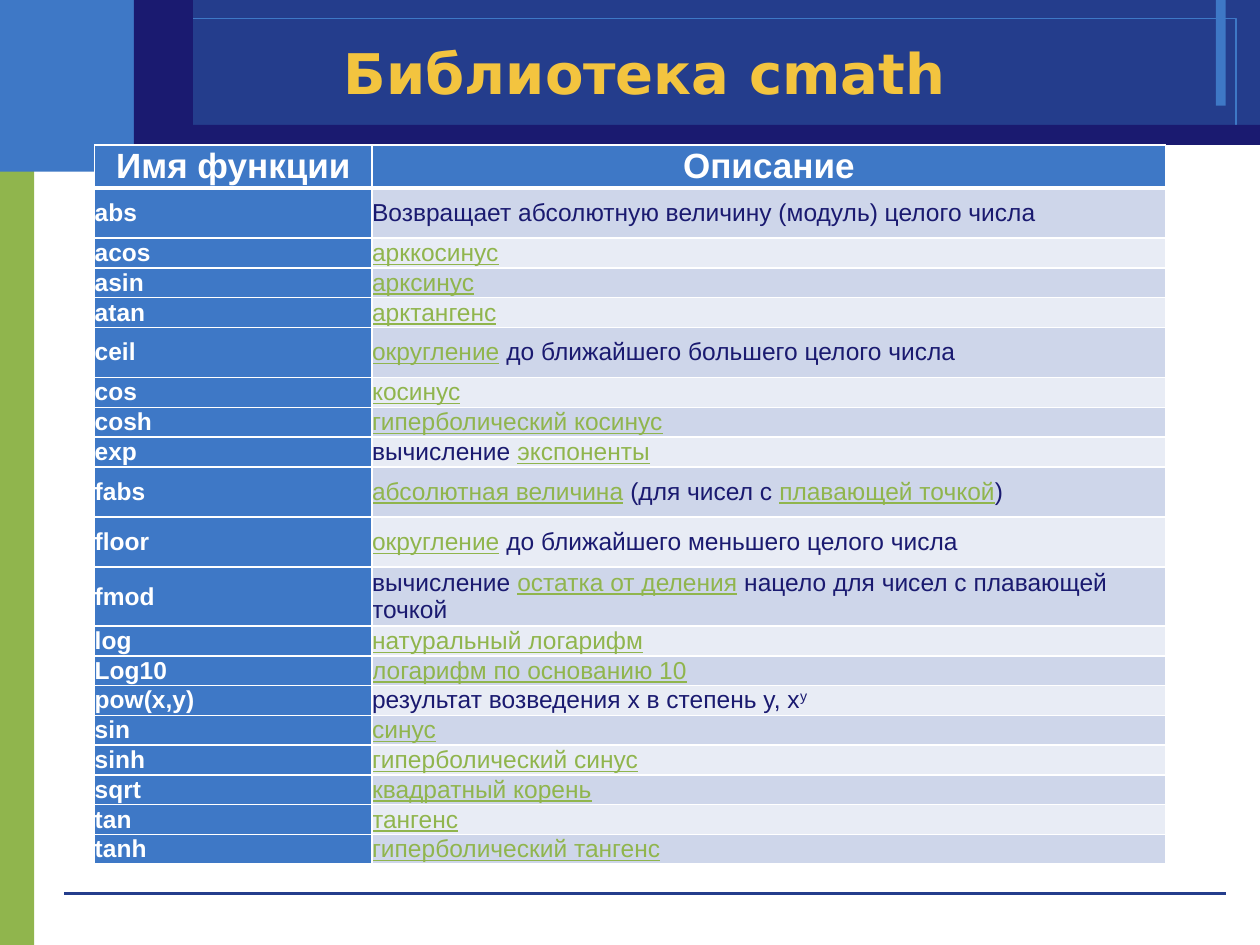
from dataclasses import dataclass

import lxml.etree
import pptx
import pptx.dml.color
import pptx.enum.shapes
import pptx.enum.text
import pptx.oxml.ns
import pptx.util
from pptx.util import Cm, Pt

COLORS = {
    "green": "90B54D",
    "blue": "3E78C6",
    "royal": "243D8C",
    "navy": "1A1A70",
    "gold": "F3C43F",
    "white": "FFFFFF",
    "band_dark": "CED6EA",
    "band_light": "E8ECF5",
}
BODY_FONT = "Arial"
TITLE_FONT = "DejaVu Sans"
HEADER_HEIGHT, LOW, TALL, TWO_LINES = 0.87, 0.6, 1.01, 1.19
COLUMN_WIDTHS = (5.59, 16.0)


@dataclass
class Block:
    left: float
    top: float
    width: float
    height: float
    fill: str = ""
    line: str = ""


@dataclass
class Function:
    """One table row; underscores in the description enclose underlined terms."""
    name: str
    description: str
    height: float = LOW
    exponent: str = ""


BLOCKS = [
    Block(0, 2.72, 0.69, 16.33, "green"),
    Block(0, 0, 3.89, 3.46, "blue"),
    Block(3.89, 0, 21.51, 2.92, "royal"),
    Block(24.51, 0, 0.2, 2.13, "blue"),
    Block(0.51, 0.38, 24.41, 2.16, line="blue"),
    Block(3.3, 2.52, 22.1, 0.4, "navy"),
    Block(2.7, 0, 1.19, 2.92, "navy"),
]

FUNCTIONS = [
    Function("abs", "Возвращает абсолютную величину (модуль) целого числа", TALL),
    Function("acos", "_арккосинус_"),
    Function("asin", "_арксинус_"),
    Function("atan", "_арктангенс_"),
    Function("ceil", "_округление_ до ближайшего большего целого числа", TALL),
    Function("cos", "_косинус_"),
    Function("cosh", "_гиперболический косинус_"),
    Function("exp", "вычисление _экспоненты_"),
    Function("fabs", "_абсолютная величина_ (для чисел с _плавающей точкой_)", TALL),
    Function("floor", "_округление_ до ближайшего меньшего целого числа", TALL),
    Function("fmod", "вычисление _остатка от деления_ нацело для чисел с плавающей точкой",
             TWO_LINES),
    Function("log", "_натуральный логарифм_"),
    Function("Log10", "_логарифм по основанию 10_"),
    Function("pow(x,y)", "результат возведения x в степень y, x", exponent="y"),
    Function("sin", "_синус_"),
    Function("sinh", "_гиперболический синус_"),
    Function("sqrt", "_квадратный корень_"),
    Function("tan", "_тангенс_"),
    Function("tanh", "_гиперболический тангенс_"),
]


def rgb(name: str) -> pptx.dml.color.RGBColor:
    return pptx.dml.color.RGBColor.from_string(COLORS[name])


def add_block(s, block: Block) -> None:
    sp = s.shapes.add_shape(
        pptx.enum.shapes.MSO_SHAPE.RECTANGLE,
        Cm(block.left), Cm(block.top), Cm(block.width), Cm(block.height))
    sp.shadow.inherit = False
    if block.fill:
        sp.fill.solid()
        sp.fill.fore_color.rgb = rgb(block.fill)
    else:
        sp.fill.background()
    if block.line:
        sp.line.color.rgb = rgb(block.line)
        sp.line.width = Pt(0)
    else:
        sp.line.fill.background()


def add_footer_line(s) -> None:
    line = s.shapes.add_connector(
        pptx.enum.shapes.MSO_CONNECTOR.STRAIGHT, Cm(1.3), Cm(18.01), Cm(24.71), Cm(18.01))
    line.line.color.rgb = rgb("royal")
    line.line.width = Pt(0)
    sp_pr = line.element.find(pptx.oxml.ns.qn("p:spPr"))
    lxml.etree.SubElement(sp_pr, pptx.oxml.ns.qn("a:effectLst"))


def set_title(s, text: str) -> None:
    title = s.shapes.title
    title.left, title.top, title.width, title.height = Cm(2.08), Cm(0.66), Cm(21.84), Cm(1.57)
    tf = title.text_frame
    tf.text = text
    tf.vertical_anchor = pptx.enum.text.MSO_ANCHOR.MIDDLE
    p = tf.paragraphs[0]
    p.alignment = pptx.enum.text.PP_ALIGN.CENTER
    format_run(p.runs[0], 32, "gold", True, TITLE_FONT)
    # Bring the title in front of the decoration.
    title.element.getparent().append(title.element)


def format_run(r, size: float, color: str, bold: bool = False, font: str = BODY_FONT) -> None:
    r.font.name = font
    r.font.size = Pt(size)
    r.font.bold = bold
    r.font.color.rgb = rgb(color)


def style_cell(cell, fill: str, bottom: float = 1) -> None:
    """Set white borders, fill, zero margins and middle anchoring."""
    qn = pptx.oxml.ns.qn
    tc_pr = cell._tc.get_or_add_tcPr()
    for side, width in (("L", 1), ("R", 1), ("T", 1), ("B", bottom)):
        ln = lxml.etree.SubElement(tc_pr, qn(f"a:ln{side}"), w=str(Pt(width)))
        solid = lxml.etree.SubElement(ln, qn("a:solidFill"))
        lxml.etree.SubElement(solid, qn("a:srgbClr"), val=COLORS["white"])
    cell.fill.solid()
    cell.fill.fore_color.rgb = rgb(fill)
    cell.margin_left = cell.margin_right = cell.margin_top = cell.margin_bottom = 0
    cell.vertical_anchor = pptx.enum.text.MSO_ANCHOR.MIDDLE


def write_description(p, function: Function) -> None:
    for i, piece in enumerate(function.description.split("_")):
        if piece:
            r = p.add_run()
            r.text = piece
            is_term = i % 2 == 1
            format_run(r, 14, "green" if is_term else "navy")
            r.font.underline = is_term
    if function.exponent:
        r = p.add_run()
        r.text = function.exponent
        format_run(r, 14, "navy")
        r.font._element.set("baseline", "30000")


def add_function_table(s, headings: tuple[str, str], functions: list[Function]) -> None:
    heights = [HEADER_HEIGHT] + [f.height for f in functions]
    table = s.shapes.add_table(
        len(heights), len(headings), Cm(1.91), Cm(2.92),
        Cm(sum(COLUMN_WIDTHS)), Cm(sum(heights))).table
    for column, width in zip(table.columns, COLUMN_WIDTHS):
        column.width = Cm(width)
    for row, height in zip(table.rows, heights):
        row.height = Cm(height)

    for cell, heading in zip(table.rows[0].cells, headings):
        style_cell(cell, "blue", bottom=3)
        cell.text_frame.text = heading
        p = cell.text_frame.paragraphs[0]
        p.alignment = pptx.enum.text.PP_ALIGN.CENTER
        format_run(p.runs[0], 20, "white", True)

    for i, function in enumerate(functions, start=1):
        name_cell, description_cell = table.rows[i].cells
        style_cell(name_cell, "blue", bottom=1)
        name_cell.text_frame.text = function.name
        format_run(name_cell.text_frame.paragraphs[0].runs[0], 14, "white", True)
        style_cell(description_cell, "band_dark" if i % 2 else "band_light")
        write_description(description_cell.text_frame.paragraphs[0], function)


def main() -> None:
    prs = pptx.Presentation()
    prs.slide_width, prs.slide_height = Cm(25.4), Cm(19.05)
    s = prs.slides.add_slide(prs.slide_layouts.get_by_name("Title Only"))
    for block in BLOCKS:
        add_block(s, block)
    add_footer_line(s)
    set_title(s, "Библиотека cmath")
    add_function_table(s, ("Имя функции", "Описание"), FUNCTIONS)
    prs.save("out.pptx")


if __name__ == "__main__":
    main()
